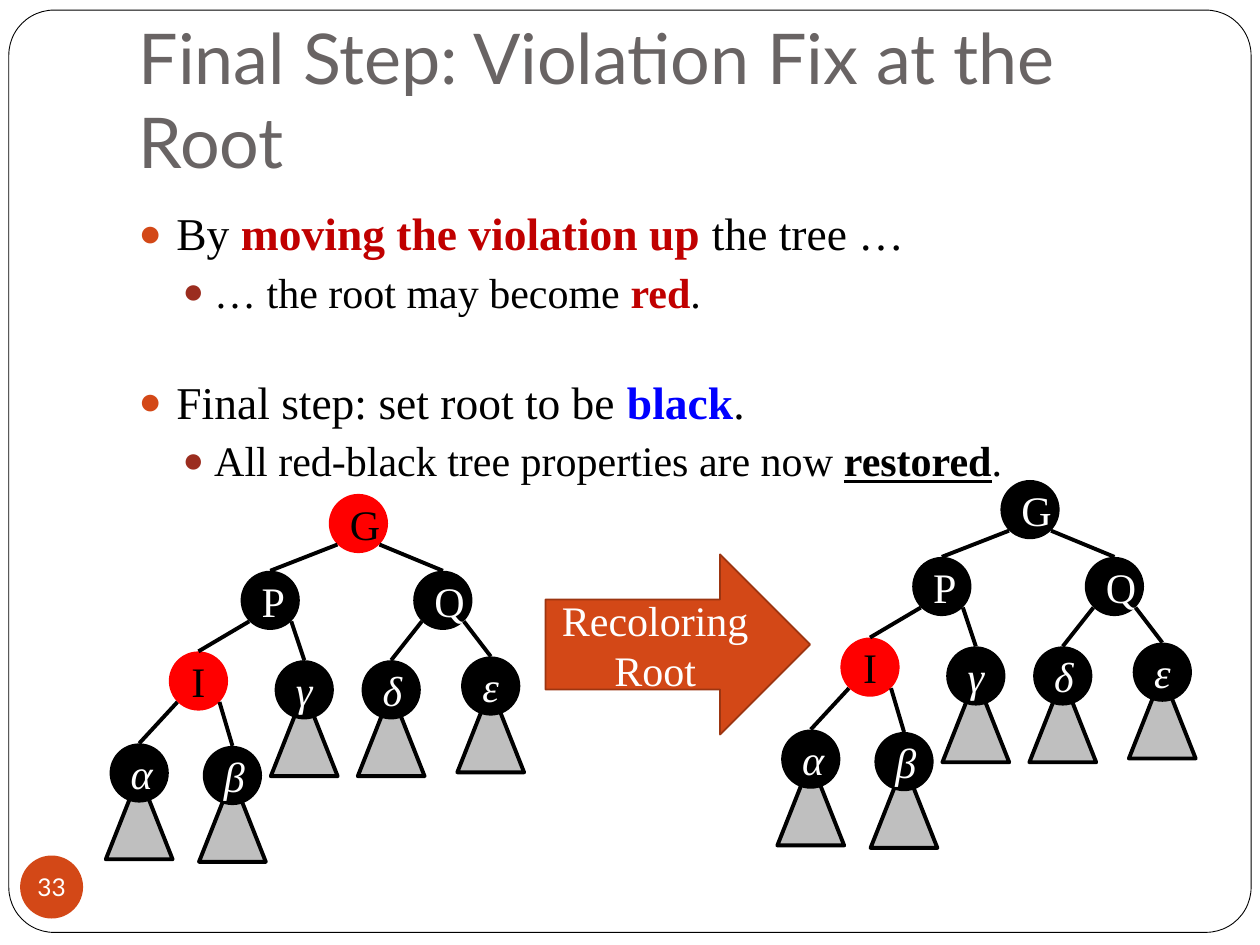
from dataclasses import dataclass

from lxml.etree import SubElement
from pptx import Presentation
from pptx.dml.color import RGBColor
from pptx.enum.shapes import MSO_CONNECTOR, MSO_SHAPE
from pptx.enum.text import MSO_ANCHOR, MSO_AUTO_SIZE, PP_ALIGN
from pptx.oxml.ns import qn
from pptx.util import Inches, Pt


@dataclass(frozen=True)
class Theme:
    heading_font: str = "Lato"
    text_font: str = "Times New Roman"
    title_size: int = 40
    list_sizes: tuple = (26, 24)
    label_size: int = 24
    number_size: int = 14
    black: str = "000000"
    white: str = "FFFFFF"
    gray: str = "696464"
    subtree: str = "BFBFBF"
    red: str = "FF0000"
    dark_red: str = "C00000"
    blue: str = "0000FF"
    orange: str = "D34817"
    orange_edge: str = "9C3511"
    bullets: tuple = ("D34817", "9B2D1F")


THEME = Theme()
COLUMNS, ROWS = 100, 75
NODE_SIZE = 4.7
DIAGONAL = NODE_SIZE / 2 * 0.71
SUBTREE_WIDTH, SUBTREE_HEIGHT, SUBTREE_DROP = 5.3, 6.7, 2.5

TREE_NODES = {
    "G": (0, 0),
    "P": (-7, 6.1),
    "Q": (6.7, 6.1),
    "I": (-12.7, 12.5),
    "α": (-17.4, 19.8),
    "β": (-10, 20),
    "γ": (-4.3, 13.2),
    "δ": (2.6, 13.2),
    "ε": (10.5, 12.9),
}
TREE_EDGES = {"G": "PQ", "P": "Iγ", "Q": "δε", "I": "αβ"}

LIST_ITEMS = [
    (0, 5.8, [("By ", {}),
              ("moving the violation up", {"color": THEME.dark_red, "bold": True}),
              (" the tree …", {})]),
    (1, 3.7, [("… the root may become ", {}),
              ("red", {"color": THEME.dark_red, "bold": True}),
              (".", {})]),
    (0, 32.5, [("Final step: set root to be ", {}),
               ("black", {"color": THEME.blue, "bold": True}),
               (".", {})]),
    (1, 3.7, [("All red-black tree properties are now ", {}),
              ("restored", {"bold": True, "underline": True}),
              (".", {})]),
]


class Page:
    def __init__(self, deck, theme):
        self.theme = theme
        self.column = deck.slide_width / COLUMNS
        self.row = deck.slide_height / ROWS
        self.slide = deck.slides.add_slide(deck.slide_layouts[1])

    def grid(self, *lengths):
        units = (self.column, self.row) * 2
        return [round(length * unit) for length, unit in zip(lengths, units)]

    def style(self, span, size, color, font=None, bold=False, italic=False, underline=False):
        span.font.name = font or self.theme.text_font
        span.font.size = Pt(size)
        span.font.color.rgb = RGBColor.from_string(color)
        span.font.bold, span.font.italic, span.font.underline = bold, italic, underline

    def place(self, box, area):
        box.left, box.top, box.width, box.height = self.grid(*area)
        box.text_frame.auto_size = MSO_AUTO_SIZE.NONE

    def title(self, text, area):
        box = self.slide.shapes.title
        self.place(box, area)
        frame = box.text_frame
        frame.text = text
        frame.vertical_anchor = MSO_ANCHOR.BOTTOM
        frame.margin_bottom = Inches(0.1)
        para = frame.paragraphs[0]
        para.alignment = PP_ALIGN.LEFT
        self.style(para.runs[0], self.theme.title_size, self.theme.gray, self.theme.heading_font)

    def bullet(self, para, level):
        properties = para._p.get_or_add_pPr()
        properties.set("marL", str(Inches(0.3 * (level + 1))))
        properties.set("indent", str(-Inches((0.3, 0.25)[level])))
        color = SubElement(properties, qn("a:buClr"))
        SubElement(color, qn("a:srgbClr"), val=self.theme.bullets[level])
        SubElement(properties, qn("a:buSzPct"), val="85000")
        SubElement(properties, qn("a:buChar"), char="●")

    def bullet_list(self, items, area):
        box = self.slide.placeholders[1]
        self.place(box, area)
        frame = box.text_frame
        for index, (level, space, spans) in enumerate(items):
            para = frame.add_paragraph() if index else frame.paragraphs[0]
            para.level = level
            para.space_before = Pt(space)
            self.bullet(para, level)
            for text, look in spans:
                span = para.add_run()
                span.text = text
                self.style(span, self.theme.list_sizes[level],
                           **{"color": self.theme.black, **look})

    def shape(self, kind, area, fill, line=None, line_width=1, parent=None):
        box = (parent or self.slide).shapes.add_shape(kind, *self.grid(*area))
        box.shadow.inherit = False
        box.fill.solid()
        box.fill.fore_color.rgb = RGBColor.from_string(fill)
        if line:
            box.line.color.rgb = RGBColor.from_string(line)
            box.line.width = Pt(line_width)
        else:
            box.line.fill.background()
        return box

    def label(self, box, text, size, color=THEME.white, **look):
        para = box.text_frame.paragraphs[0]
        para.text = text
        para.alignment = PP_ALIGN.CENTER
        box.text_frame.vertical_anchor = MSO_ANCHOR.MIDDLE
        for span in para.runs:
            self.style(span, size, color, **look)

    def frame(self, area):
        box = self.shape(MSO_SHAPE.ROUNDED_RECTANGLE, area,
                         self.theme.white, self.theme.black, 0.5)
        box.adjustments[0] = 0.049
        self.slide.shapes.element.insert(2, box.element)

    def arrow(self, text, area):
        box = self.shape(MSO_SHAPE.RIGHT_ARROW, area, self.theme.orange, self.theme.orange_edge)
        self.label(box, text, self.theme.label_size)

    def page_number(self, text, area):
        box = self.shape(MSO_SHAPE.OVAL, area, self.theme.orange)
        frame = box.text_frame
        frame.margin_left = frame.margin_right = frame.margin_top = frame.margin_bottom = 0
        frame.word_wrap = False
        self.label(box, text, self.theme.number_size, font=self.theme.heading_font)

    def node(self, group, name, left, top, is_red):
        is_leaf = name not in TREE_EDGES
        if is_leaf:
            self.shape(MSO_SHAPE.ISOSCELES_TRIANGLE,
                       (left - (SUBTREE_WIDTH - NODE_SIZE) / 2, top + SUBTREE_DROP,
                        SUBTREE_WIDTH, SUBTREE_HEIGHT),
                       self.theme.subtree, self.theme.black, 2.25, group)
        fill, color = ((self.theme.red, self.theme.black) if is_red
                       else (self.theme.black, self.theme.white))
        box = self.shape(MSO_SHAPE.OVAL, (left, top, NODE_SIZE, NODE_SIZE), fill, parent=group)
        self.label(box, name, self.theme.label_size, color, italic=is_leaf)
        return box

    def edge(self, group, start, child):
        line = group.shapes.add_connector(MSO_CONNECTOR.STRAIGHT, *self.grid(*start), 0, 0)
        line.end_connect(child, 0)
        line.line.color.rgb = RGBColor.from_string(self.theme.black)
        line.line.width = Pt(2.25)
        SubElement(line.element.spPr, qn("a:effectLst"))

    def tree(self, left, top, red_nodes):
        group = self.slide.shapes.add_group_shape()
        nodes = {name: self.node(group, name, left + across, top + down, name in red_nodes)
                 for name, (across, down) in TREE_NODES.items()}
        for parent, children in TREE_EDGES.items():
            across, down = TREE_NODES[parent]
            for side, child in zip((-1, 1), children):
                start = (left + across + NODE_SIZE / 2 + side * DIAGONAL,
                         top + down + NODE_SIZE / 2 + DIAGONAL)
                self.edge(group, start, nodes[child])


def main():
    deck = Presentation()
    deck.slide_width, deck.slide_height = Inches(10), Inches(7.5)
    page = Page(deck, THEME)
    page.frame((0.7, 0.8, 98.6, 73.2))
    page.title("Final Step: Violation Fix at the Root", (10, 3, 85, 12.5))
    page.page_number("33", (1.6, 67.9, 5, 5))
    page.bullet_list(LIST_ITEMS, (10, 15.8, 85, 50))
    page.tree(79.4, 38.1, "I")
    page.tree(26.1, 39.2, "GI")
    page.arrow("Recoloring\vRoot", (43.3, 44, 21, 14.3))
    deck.save("out.pptx")


if __name__ == "__main__":
    main()
